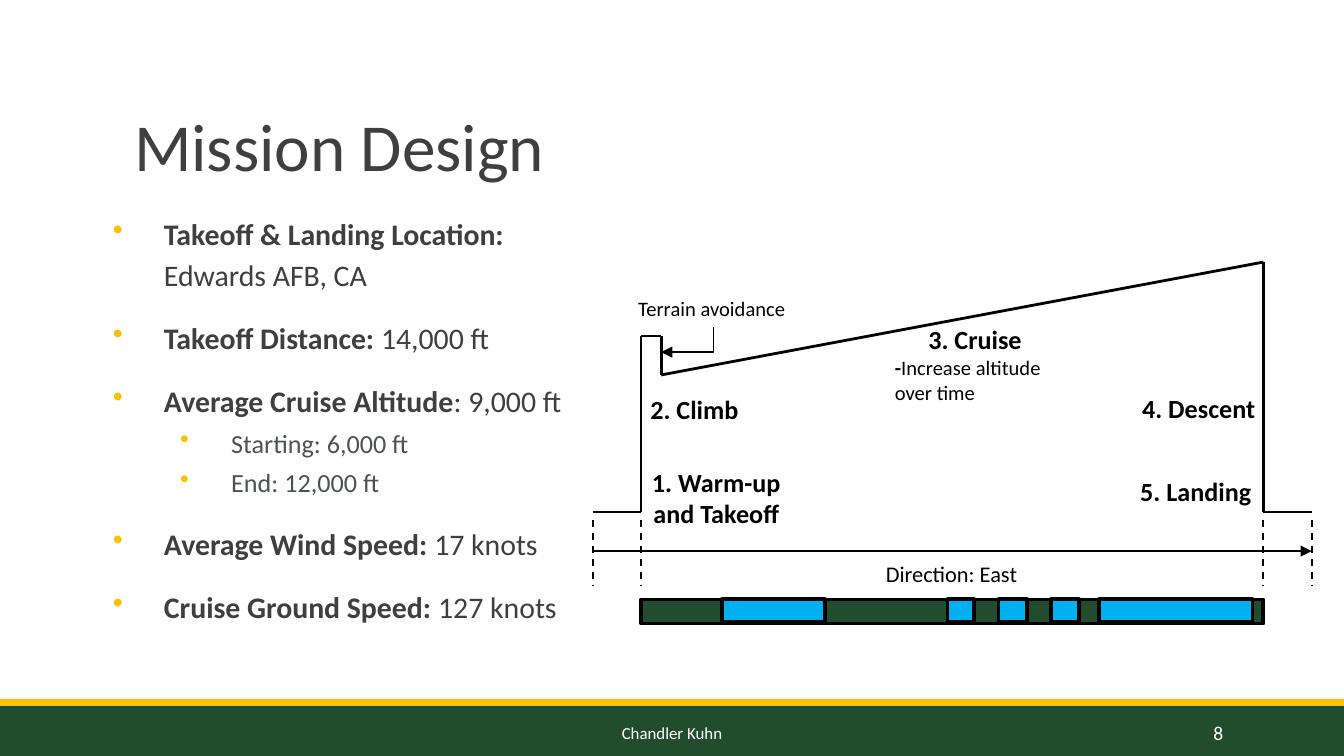
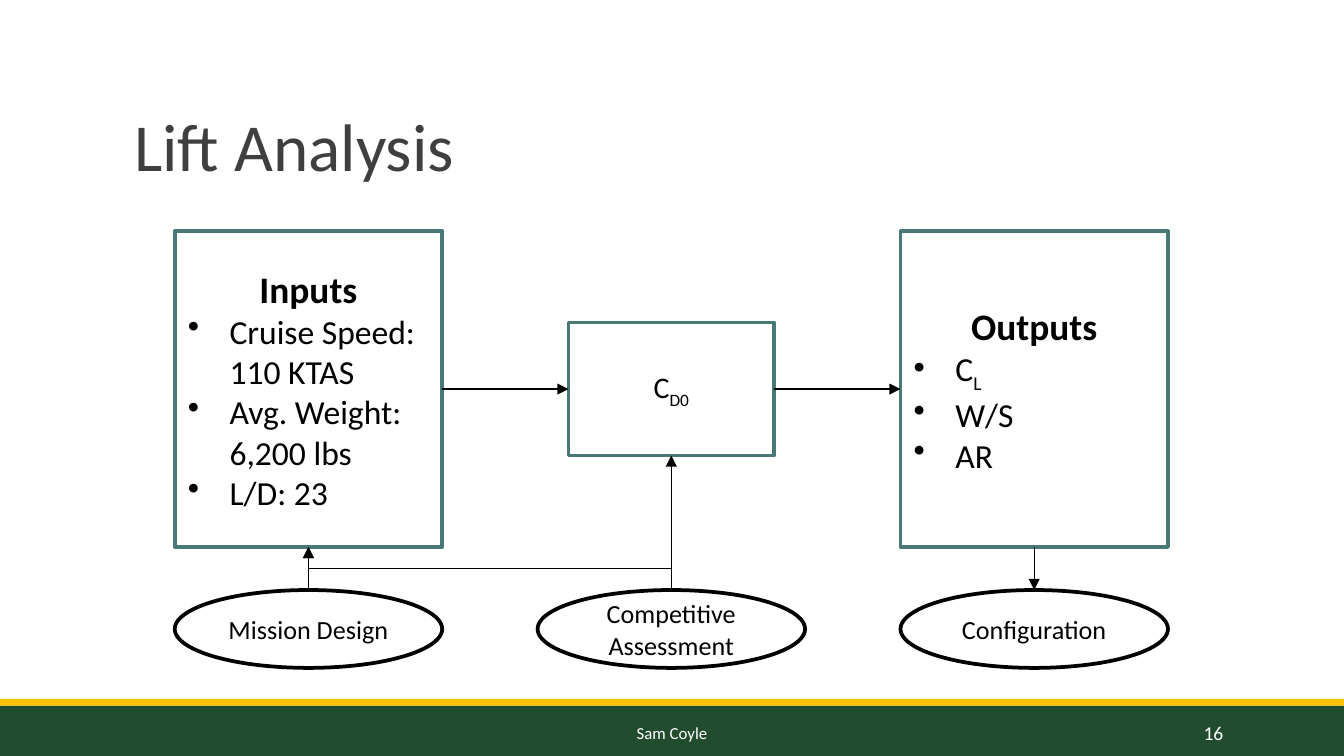
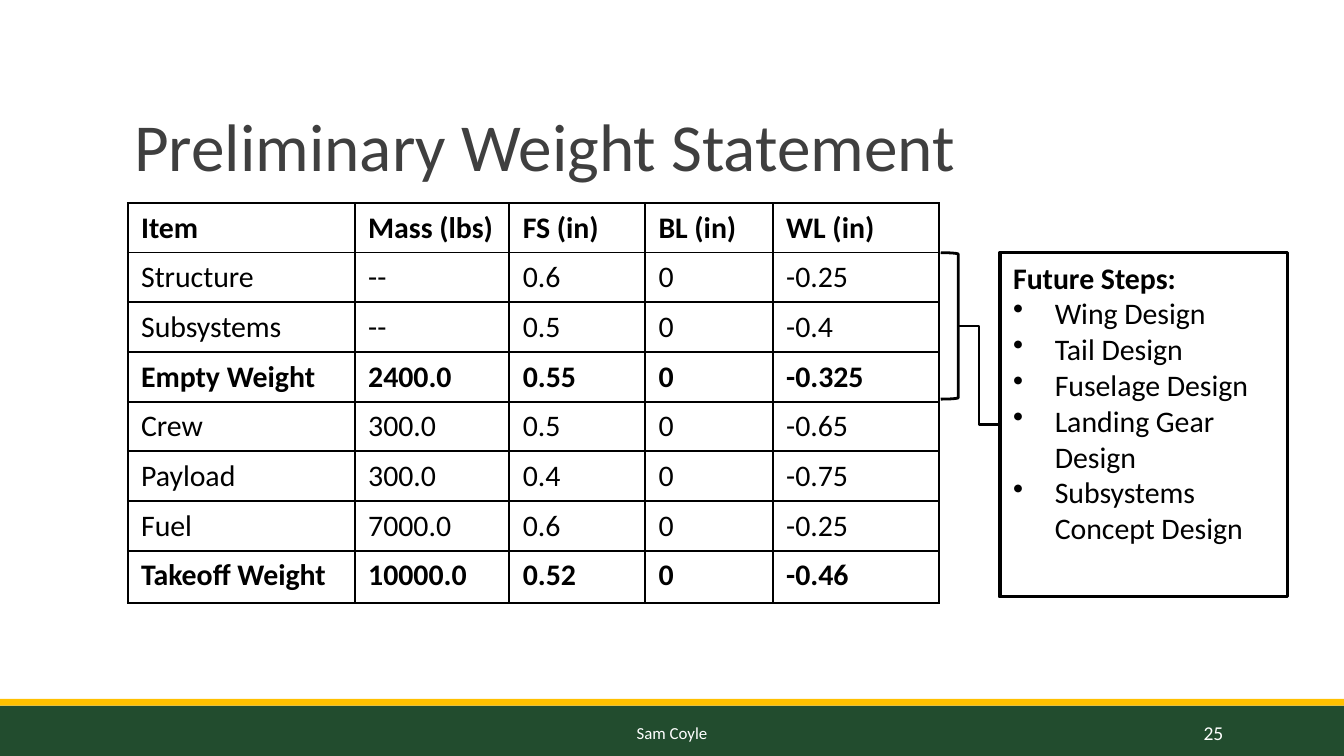
import pptx
import pptx.util
import pptx.dml.color
import pptx.enum.dml
import pptx.enum.shapes
import pptx.enum.text
import pptx.oxml
import pptx.oxml.ns

# The slide is a grid of square cells, 100 columns by 56.25 rows.
CELL = pptx.util.Inches(0.1)
COLS, ROWS = 100, 56.25
FONT = "Calibri"
INK = {
    "black": "000000", "white": "FFFFFF", "dark": "3F3F3F", "grey": "4D5156",
    "green": "224C2E", "gold": "FFC000", "teal": "497976", "blue": "00B0F0",
}
KIND = pptx.enum.shapes.MSO_SHAPE
LINK = pptx.enum.shapes.MSO_CONNECTOR
ALIGN = pptx.enum.text.PP_ALIGN
ANCHOR = pptx.enum.text.MSO_ANCHOR
TOP, LEFT, BASE, RIGHT = range(4)


def rgb(name):
    return pptx.dml.color.RGBColor.from_string(INK[name])


def cells(*spans):
    return [round(span * CELL) for span in spans]


def inner(box, x, y, w, h):
    """Turn a place inside a box into a place on the slide."""
    return box[0] + x, box[1] + y, w, h


def sub(node, tag, **attrs):
    child = pptx.oxml.ns.qn(tag)
    child = node.makeelement(child, attrs)
    node.append(child)
    return child


# ---- shared parts ----

def para(frame, runs, size, ink="black", align=ALIGN.LEFT, dot=None,
         left=0, hang=0, lead=None, gap=0):
    """Add a paragraph of (text, style) runs; style is "", "b" or "sub"."""
    first = not frame.paragraphs[0].runs
    par = frame.paragraphs[0] if first else frame.add_paragraph()
    par.alignment = align
    if dot:
        props = par._p.get_or_add_pPr()
        props.set("marL", str(cells(left)[0]))
        props.set("indent", str(-cells(hang)[0]))
        sub(sub(props, "a:buClr"), "a:srgbClr", val=INK[dot])
        sub(props, "a:buChar", char="•")
    if lead:
        par.line_spacing = lead
    if gap and not first:
        par.space_before = pptx.util.Pt(gap)
    for text, style in runs:
        run = par.add_run()
        run.text = text
        run.font.name = FONT
        run.font.size = pptx.util.Pt(size)
        run.font.bold = style == "b"
        run.font.color.rgb = rgb(ink)
        if style == "sub":
            run.font._element.set("baseline", "-25000")


def label(slide, box, text="", size=14, style="", wrap=True,
          anchor=ANCHOR.TOP, **look):
    frame = slide.shapes.add_textbox(*cells(*box)).text_frame
    frame.word_wrap = wrap
    frame.vertical_anchor = anchor
    if text:
        para(frame, [(text, style)], size, **look)
    return frame


def block(slide, box, kind=KIND.RECTANGLE, fill=None, edge=None, width=2,
          anchor=ANCHOR.MIDDLE):
    shape = slide.shapes.add_shape(kind, *cells(*box))
    shape.shadow.inherit = False
    if fill:
        shape.fill.solid()
        shape.fill.fore_color.rgb = rgb(fill)
    else:
        shape.fill.background()
    if edge:
        shape.line.color.rgb = rgb(edge)
        shape.line.width = pptx.util.Pt(width)
    else:
        shape.line.fill.background()
    shape.text_frame.word_wrap = True
    shape.text_frame.vertical_anchor = anchor
    return shape


def line(slide, start, end, width=0.75, dash=False, arrow=False,
         kind=LINK.STRAIGHT):
    link = slide.shapes.add_connector(kind, *cells(*start, *end))
    link.line.color.rgb = rgb("black")
    link.line.width = pptx.util.Pt(width)
    if dash:
        link.line.dash_style = pptx.enum.dml.MSO_LINE.DASH
    if arrow:
        sub(link.line._get_or_add_ln(), "a:tailEnd", type="triangle")
    sub(link._element.spPr, "a:effectLst")
    return link


def elbow(slide, start, end, turn=0, bends=2, **look):
    """Draw a bent connector, turned clockwise by quarter turns."""
    mid = [(a + b) / 2 for a, b in zip(start, end)]
    ends = []
    for x, y in (start, end):
        x, y = x - mid[0], y - mid[1]
        for _ in range(turn):
            x, y = y, -x
        ends.append((mid[0] + x, mid[1] + y))
    link = line(slide, *ends, kind=LINK.ELBOW, **look)
    props = link._element.spPr
    if turn:
        props.find(pptx.oxml.ns.qn("a:xfrm")).set("rot", str(turn * 5400000))
    geom = props.find(pptx.oxml.ns.qn("a:prstGeom"))
    geom.set("prst", f"bentConnector{bends + 1}")


def join(slide, one, side, two, goal):
    link = line(slide, (0, 0), (1, 1), arrow=True)
    link.begin_connect(one, side)
    link.end_connect(two, goal)


def page(deck, title, name, number):
    """Start a slide with its title, bands and footer."""
    slide = deck.slides.add_slide(deck.slide_layouts[6])
    block(slide, (0, 52.5, COLS, ROWS - 52.5), fill="green")
    block(slide, (0, 52, COLS, 0.5), fill="gold")
    label(slide, (9, 2.4, 82.5, 11.9), title, 36, ink="dark", lead=0.85,
          anchor=ANCHOR.BOTTOM)
    label(slide, (30.2, 53, 39.6, 3), name, 9, ink="white",
          align=ALIGN.CENTER, anchor=ANCHOR.MIDDLE)
    label(slide, (81.2, 53, 10.8, 3), str(number), 10.5, ink="white",
          align=ALIGN.RIGHT, anchor=ANCHOR.MIDDLE)
    return slide


# ---- mission design ----

def facts(slide, box):
    frame = label(slide, box)
    frame.margin_left = frame.margin_right = 0
    items = [
        (0, "Takeoff & Landing Location: ", "Edwards AFB, CA"),
        (0, "Takeoff Distance: ", "14,000 ft"),
        (0, "Average Cruise Altitude", ": 9,000 ft"),
        (1, "", "Starting: 6,000 ft"),
        (1, "", "End: 12,000 ft"),
        (0, "Average Wind Speed: ", "17 knots"),
        (0, "Cruise Ground Speed:", " 127 knots"),
    ]
    for level, term, value in items:
        runs = [(term, "b"), (value, "")] if term else [(value, "")]
        size, ink, gap = (14, "grey", 2) if level else (16, "dark", 12)
        para(frame, runs, size, ink, dot="gold", left=5 + 5 * level,
             hang=3.8, lead=1.14, gap=gap)


def flight(slide, box):
    """Draw the flight profile with its stages."""
    x, y, wide, _ = box
    near, far, ground = 3.6, wide - 3.6, 18.6
    route = [(0, ground), (near, ground), (near, 5.5), (5.1, 5.5),
             (5.1, 8.4), (far, 0), (far, ground), (wide, ground)]
    route = [(x + a, y + b) for a, b in route]
    for start, end in zip(route, route[1:]):
        line(slide, start, end, 1.5)
    for mark in (0, near, far, wide):
        line(slide, (x + mark, y + 19.2), (x + mark, y + 24.1), 1, dash=True)
    line(slide, (x, y + 21.5), (x + wide, y + 21.5), 1.5, arrow=True)

    stages = [
        ((2, 14.7, 14.4, 7.5), "1. Warm-up and Takeoff", ALIGN.CENTER),
        ((3.3, 9.3, 13.9, 2.5), "2. Climb", ALIGN.LEFT),
        ((21.5, 4.1, 13.9, 7.1), "3. Cruise", ALIGN.CENTER),
        ((35.2, 9.2, 15.1, 3.4), "4. Descent", ALIGN.RIGHT),
        ((34.2, 15.4, 15.8, 3.4), "5. Landing", ALIGN.RIGHT),
    ]
    for place, text, align in stages:
        frame = label(slide, inner(box, *place), text, style="b", align=align)
        if "Cruise" in text:
            para(frame, [("-", "b"), ("Increase altitude over time", "")], 11)
    label(slide, inner(box, 15, 21.7, 23.4, 2.2), "Direction: East", 12,
          align=ALIGN.CENTER)
    label(slide, inner(box, 2.4, 2, 13.2, 2.9), "Terrain avoidance", 11,
          wrap=False)
    elbow(slide, (x + 9, y + 4.8), (x + 5.1, y + 6.7), turn=1, bends=1,
          arrow=True)
    strip(slide, inner(box, near, 25.1, far - near, 1.8))


def strip(slide, box):
    """Draw the ground track: land with stretches of water."""
    block(slide, box, fill="green", edge="black")
    for start, wide in ((6, 7.7), (22.8, 2), (26.6, 2.1), (30.5, 2.1),
                        (34.1, 11.4)):
        block(slide, inner(box, start, 0, wide, 1.7), fill="blue",
              edge="black")


# ---- lift analysis ----

def card(slide, box, head, items):
    shape = block(slide, box, edge="teal")
    frame = shape.text_frame
    para(frame, [(head, "b")], 20, align=ALIGN.CENTER)
    for runs in items:
        para(frame, runs, 18, dot="black", left=3.1, hang=3.1)
    return shape


def flow(slide, box):
    """Draw three columns: cards above, the ovals they link to below."""
    wide, tall, step = 19.9, 23.5, 27
    small, low = 15.3, 9.9
    inputs = card(slide, inner(box, 0, 0, wide, tall), "Inputs", [
        [("Cruise Speed: 110 KTAS", "")],
        [("Avg. Weight: 6,200 lbs", "")],
        [("L/D: 23", "")],
    ])
    drag = block(slide, inner(box, step + (wide - small) / 2,
                              (tall - low) / 2, small, low), edge="teal")
    para(drag.text_frame, [("C", ""), ("D0", "sub")], 16, align=ALIGN.CENTER)
    outputs = card(slide, inner(box, 2 * step, 0, wide, tall), "Outputs", [
        [("C", ""), ("L", "sub")], [("W/S", "")], [("AR", "")],
    ])

    ovals = []
    names = ("Mission Design", "Competitive Assessment", "Configuration")
    for col, name in enumerate(names):
        oval = block(slide, inner(box, col * step, 26.7, wide, 5.8),
                     KIND.OVAL, fill="white", edge="black")
        para(oval.text_frame, [(name, "")], 14, align=ALIGN.CENTER)
        ovals.append(oval)
    mission, rivals, config = ovals

    join(slide, inputs, RIGHT, drag, LEFT)
    join(slide, drag, RIGHT, outputs, LEFT)
    join(slide, mission, TOP, inputs, BASE)
    join(slide, rivals, TOP, drag, BASE)
    join(slide, outputs, BASE, config, TOP)
    mid = box[0] + wide / 2
    elbow(slide, (mid + step, box[1] + 26.7), (mid, box[1] + tall), turn=3,
          arrow=True)


# ---- weight statement ----

def border(cell):
    props = cell._tc.get_or_add_tcPr()
    for side in "LRTB":
        edge = sub(props, f"a:ln{side}", w=str(pptx.util.Pt(1.07)))
        sub(sub(edge, "a:solidFill"), "a:srgbClr", val=INK["black"])


def weights(slide, box):
    rows = [
        ("Item", "Mass (lbs)", "FS (in)", "BL (in)", "WL (in)"),
        ("Structure", "--", "0.6", "0", "-0.25"),
        ("Subsystems", "--", "0.5", "0", "-0.4"),
        ("Empty Weight", "2400.0", "0.55", "0", "-0.325"),
        ("Crew", "300.0", "0.5", "0", "-0.65"),
        ("Payload", "300.0", "0.4", "0", "-0.75"),
        ("Fuel", "7000.0", "0.6", "0", "-0.25"),
        ("Takeoff Weight", "10000.0", "0.52", "0", "-0.46"),
    ]
    bold = ("Item", "Empty Weight", "Takeoff Weight")
    table = slide.shapes.add_table(len(rows), 5, *cells(*box)).table
    table.first_row = table.horz_banding = False
    for col, wide in zip(table.columns, cells(16.9, 11.5, 10.1, 9.5, 12.4)):
        col.width = wide
    for row in table.rows:
        row.height = cells(3.7)[0]
    table.rows[len(rows) - 1].height = cells(3.9)[0]
    for r, row in enumerate(rows):
        style = "b" if row[0] in bold else ""
        for c, text in enumerate(row):
            cell = table.cell(r, c)
            border(cell)
            cell.fill.background()
            para(cell.text_frame, [(text, style)], 16)


def steps(slide, box):
    """Bracket the first table rows and link them to the next steps."""
    x, y, wide, tall = box
    hook, note = 1.3, 4.4
    block(slide, (x, y, hook, 10.9), KIND.RIGHT_BRACKET, edge="black",
          width=1.5)
    frame = block(slide, (x + note, y, wide - note, tall), edge="black",
                  anchor=ANCHOR.TOP).text_frame
    para(frame, [("Future Steps:", "b")], 16)
    for text in ("Wing Design", "Tail Design", "Fuselage Design",
                 "Landing Gear Design", "Subsystems Concept Design"):
        para(frame, [(text, "")], 16, dot="black", left=3.1, hang=3.1)
    elbow(slide, (x + hook, y + 5.45), (x + note, y + tall / 2), width=1.5)


def main():
    deck = pptx.Presentation()
    deck.slide_width, deck.slide_height = cells(COLS, ROWS)

    slide = page(deck, "Mission Design", "Chandler Kuhn", 8)
    facts(slide, (7.2, 15.2, 36.5, 35.6))
    flight(slide, (44.1, 19.5, 53.5, 26.9))

    slide = page(deck, "Lift Analysis", "Sam Coyle", 16)
    flow(slide, (13, 17.2, 73.9, 32.5))

    slide = page(deck, "Preliminary Weight Statement", "Sam Coyle", 25)
    weights(slide, (9.5, 15.1, 60.4, 29.8))
    steps(slide, (70, 18.8, 25.8, 25.6))

    deck.save("out.pptx")


if __name__ == "__main__":
    main()
